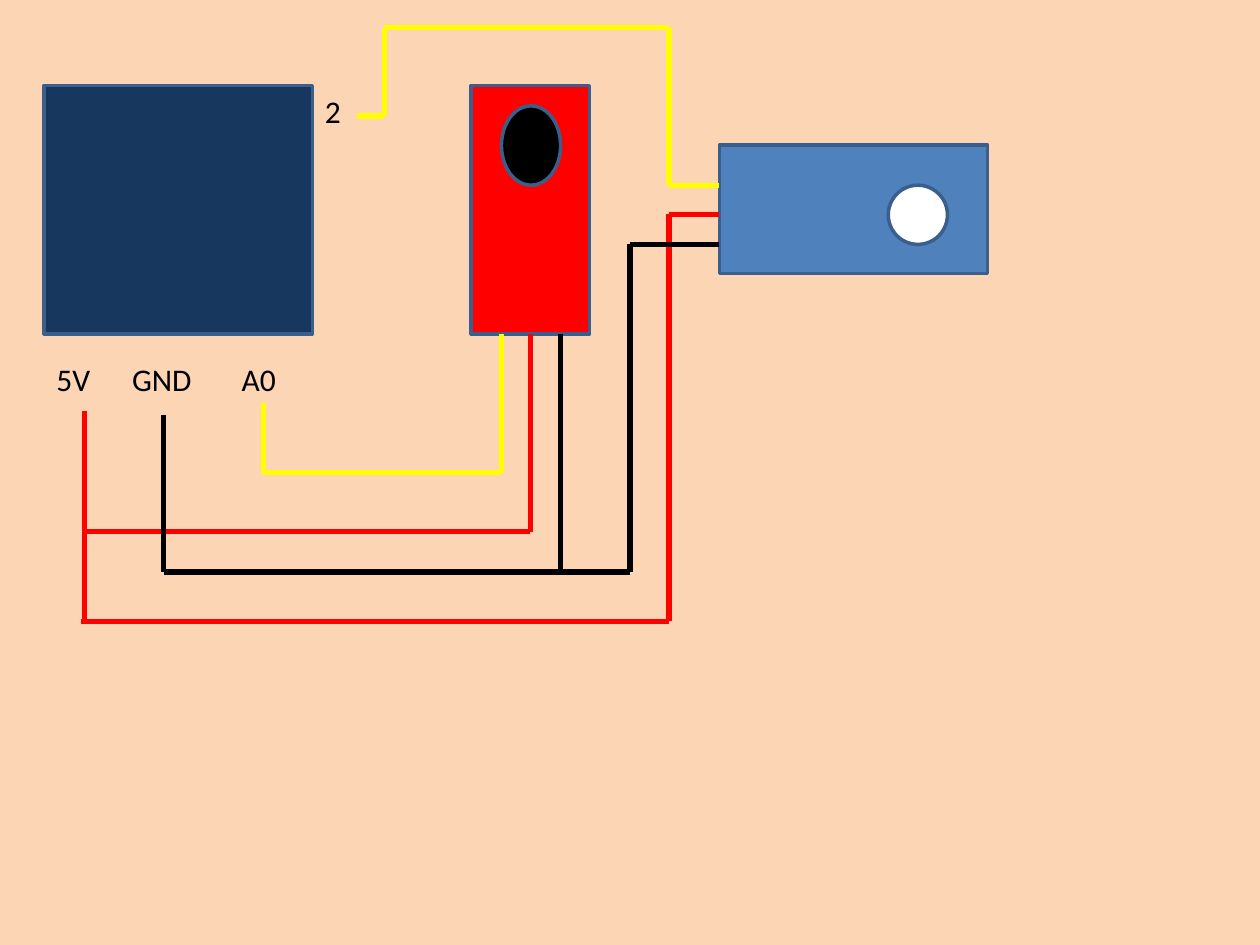
from itertools import pairwise

from lxml import etree
from pptx import Presentation
from pptx import util as u
from pptx.dml.color import RGBColor
from pptx.enum import shapes, text
from pptx.oxml import ns

RECT, OVAL = shapes.MSO_SHAPE.RECTANGLE, shapes.MSO_SHAPE.OVAL
YELLOW, RED, BLACK = "FFFF00", "FF0000", "000000"


def set_color(fmt, value):
    """Make a fill solid in a hex colour."""
    fmt.solid()
    fmt.fore_color.rgb = RGBColor.from_string(value)


def add_part(s, kind, box, fill):
    """Draw one outlined component at left, top, width, height."""
    sp = s.shapes.add_shape(kind, *map(u.Inches, box))
    sp.shadow.inherit = False
    set_color(sp.fill, fill)
    set_color(sp.line.fill, "3A5F8C")
    sp.line.width = u.Pt(2)


def add_label(s, words, box, size=18, font="Calibri", color=BLACK, tabs=()):
    """Write pin names in a text box, spaced by tab stops in inches."""
    tf = s.shapes.add_textbox(*map(u.Inches, box)).text_frame
    tf.word_wrap = True
    tf.auto_size = text.MSO_AUTO_SIZE.SHAPE_TO_FIT_TEXT
    p = tf.paragraphs[0]
    if tabs:
        stops = etree.SubElement(p._p.get_or_add_pPr(), ns.qn("a:tabLst"))
        for pos in tabs:
            etree.SubElement(stops, ns.qn("a:tab"), pos=str(u.Inches(pos)), algn="l")
    r = p.add_run()
    r.text = words
    r.font.size = u.Pt(size)
    r.font.name = font
    set_color(r.font.fill, color)


def add_wire(s, color, *points):
    """Join successive points with straight connectors."""
    for start, end in pairwise(points):
        c = s.shapes.add_connector(
            shapes.MSO_CONNECTOR.STRAIGHT, *map(u.Inches, start + end))
        set_color(c.line.fill, color)
        c.line.width = u.Pt(3)
        etree.SubElement(c._element.spPr, ns.qn("a:effectLst"))


def main():
    """Build the wiring diagram."""
    prs = Presentation()
    prs.slide_width, prs.slide_height = u.Inches(10), u.Inches(7.5)
    s = prs.slides.add_slide(prs.slide_layouts[6])
    set_color(s.background.fill, "FCD5B5")

    add_part(s, RECT, (0.35, 0.68, 2.13, 1.97), "17375E")
    add_label(s, "5V\tGND\tA0", (0.35, 2.81, 2.13, 0.4), tabs=(0.6, 1.47))
    add_label(s, "2", (2.48, 0.68, 0.47, 0.4))
    add_part(s, RECT, (5.71, 1.15, 2.13, 1.02), "4F81BD")
    add_part(s, OVAL, (7.05, 1.47, 0.47, 0.47), "FFFFFF")
    add_part(s, RECT, (3.74, 0.68, 0.94, 1.97), RED)
    add_part(s, OVAL, (3.98, 0.84, 0.47, 0.63), BLACK)

    add_wire(s, YELLOW, (3.98, 2.65), (3.98, 3.75), (2.09, 3.75), (2.09, 3.2))
    add_wire(s, RED, (4.21, 2.65), (4.21, 4.22), (0.67, 4.22))
    add_wire(s, RED, (0.67, 3.26), (0.67, 4.93))
    add_wire(s, BLACK, (4.45, 2.65), (4.45, 4.54))
    add_wire(s, BLACK, (1.3, 3.29), (1.3, 4.54), (5, 4.54))
    add_wire(s, YELLOW, (2.83, 0.92), (3.05, 0.92), (3.05, 0.22),
             (5.31, 0.22), (5.31, 1.47), (5.71, 1.47))
    add_wire(s, RED, (0.64, 4.93), (5.31, 4.93), (5.31, 1.7), (5.71, 1.7))
    add_wire(s, BLACK, (5, 4.54), (5, 1.94), (5.71, 1.94))
    prs.save("out.pptx")


main()
